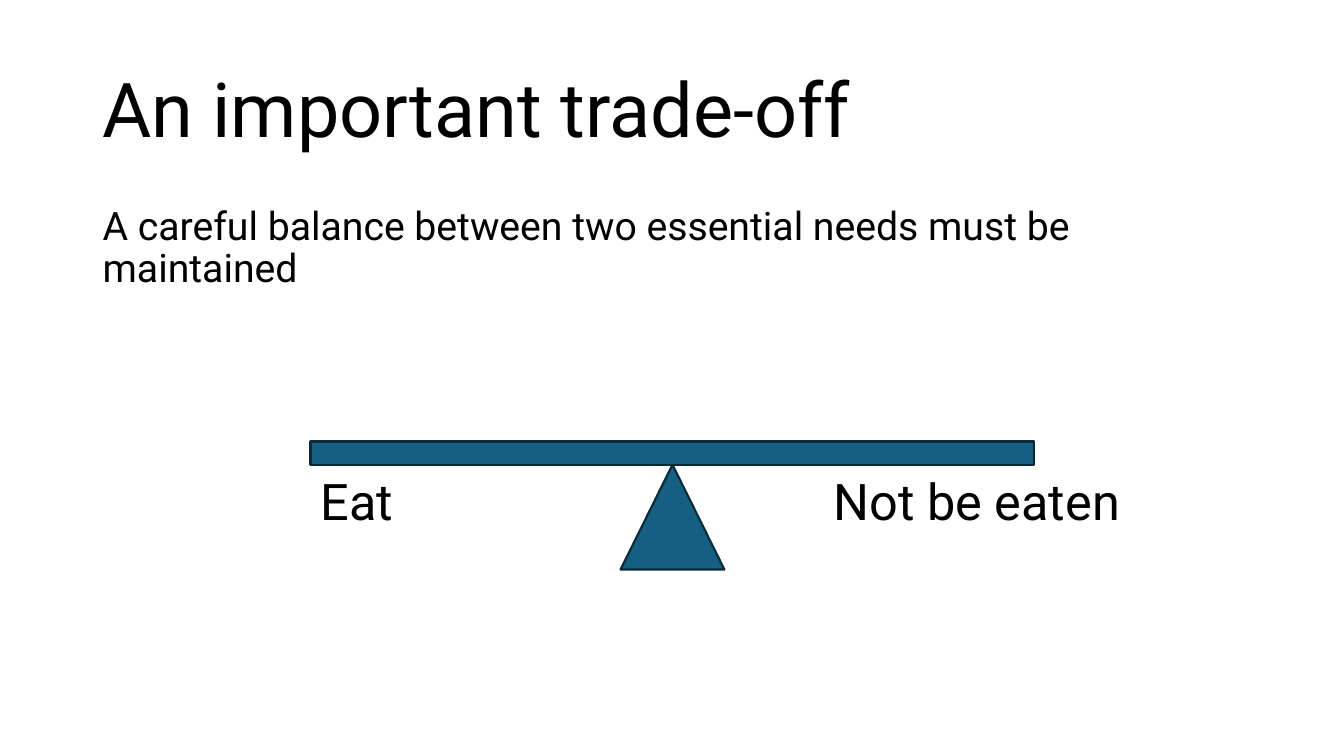
from pptx import Presentation
from pptx.dml.color import RGBColor
from pptx.enum.shapes import MSO_SHAPE
from pptx.enum.text import MSO_ANCHOR
from pptx.util import Inches, Pt

BAR = MSO_SHAPE.RECTANGLE
PIVOT = MSO_SHAPE.ISOSCELES_TRIANGLE
TOP = MSO_ANCHOR.TOP
MIDDLE = MSO_ANCHOR.MIDDLE

FONT = "Roboto"
BLACK = "000000"
TEAL = "156082"
NAVY = "092A39"


def color(code):
    return RGBColor.from_string(code)


def add_text(slide, text, left, top, width, height, size,
             spacing=1.0, anchor=TOP):
    box = slide.shapes.add_textbox(
        Inches(left), Inches(top), Inches(width), Inches(height))
    frame = box.text_frame
    frame.text = text
    frame.word_wrap = True
    frame.vertical_anchor = anchor
    line = frame.paragraphs[0]
    line.line_spacing = spacing
    font = line.runs[0].font
    font.name = FONT
    font.size = Pt(size)
    font.color.rgb = color(BLACK)
    return box


def add_part(slide, kind, left, top, width, height):
    part = slide.shapes.add_shape(
        kind, Inches(left), Inches(top), Inches(width), Inches(height))
    part.shadow.inherit = False
    part.fill.solid()
    part.fill.fore_color.rgb = color(TEAL)
    part.line.color.rgb = color(NAVY)
    part.line.width = Pt(1.5)


def main():
    deck = Presentation()
    deck.slide_width = Inches(13.33)
    deck.slide_height = Inches(7.5)
    slide = deck.slides.add_slide(deck.slide_layouts[6])

    # Title and statement
    add_text(slide, "An important trade-off",
             0.92, 0.4, 11.5, 1.45, 54, 0.9, MIDDLE)
    add_text(slide,
             "A careful balance between two essential needs must be maintained",
             0.92, 2, 11.5, 4.76, 28, 0.9)

    # Seesaw: the pivot sits centred under the beam
    left, top, width, height = 3.08, 4.38, 7.18, 0.23
    base = top + height
    side = 1.03
    add_part(slide, PIVOT, left + (width - side) / 2, base, side, 1.04)
    add_part(slide, BAR, left, top, width, height)

    # Labels under both ends of the beam; each stays on one line
    for text, start, span in (("Eat", left, 0.96),
                              ("Not be eaten", 8.17, 3.25)):
        label = add_text(slide, text, start, base, span, 0.71, 36)
        label.text_frame.word_wrap = False

    deck.save("out.pptx")


if __name__ == "__main__":
    main()
